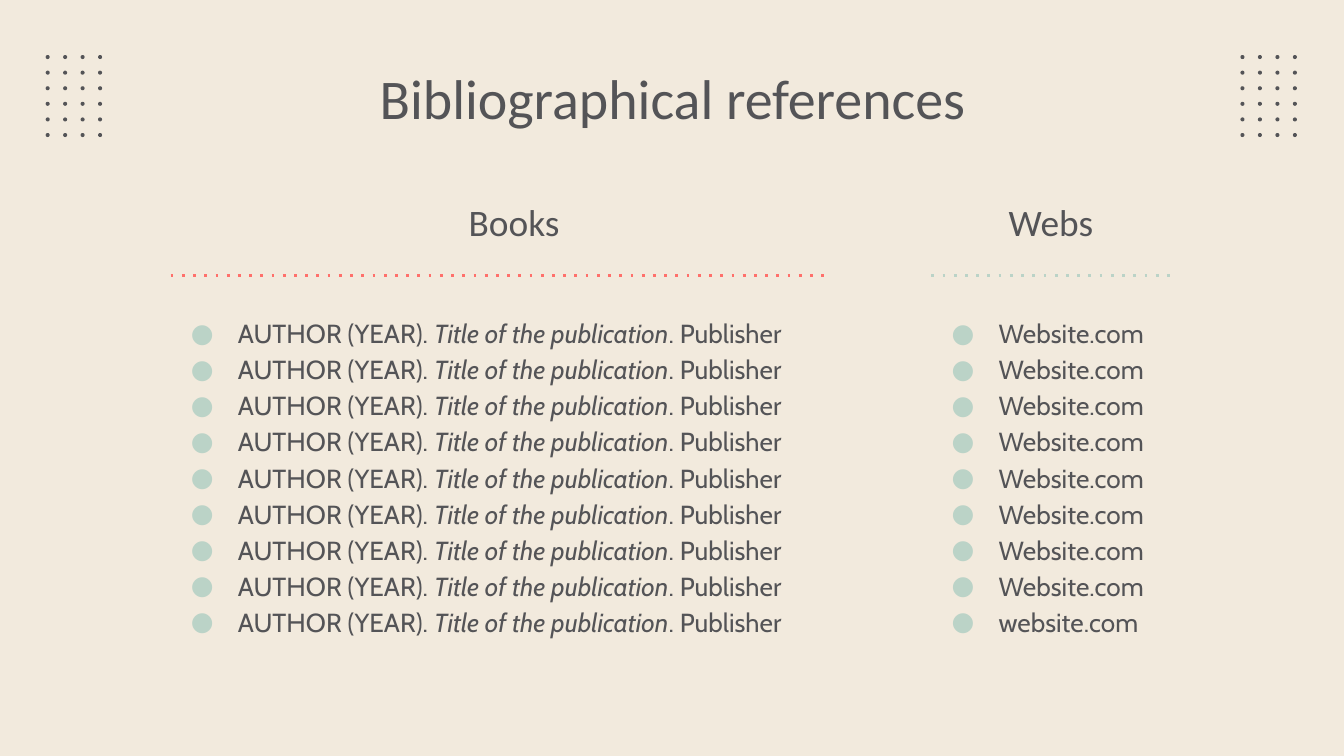
from itertools import product

from lxml import etree
from pptx import Presentation
from pptx import util as u
from pptx.dml.color import RGBColor
from pptx.enum import shapes, text
from pptx.oxml import ns

INK, CREAM, CORAL, MINT = "545457", "F2EADD", "FF706B", "BBD3C7"
HEADING_FONT, BODY_FONT = "Calibri", "Cabin"
ROWS = 9


def color(hex_string):
    return RGBColor.from_string(hex_string)


def add_xml(parent, tag, **attributes):
    return etree.SubElement(parent, ns.qn(tag), attributes)


def add_run(paragraph, words, size, font, italic=False):
    run = paragraph.add_run()
    run.text = words
    run.font.size = u.Pt(size)
    run.font.name = font
    run.font.italic = italic
    run.font.color.rgb = color(INK)


def set_indent(paragraph, margin, first_line):
    properties = paragraph._p.get_or_add_pPr()
    properties.set("marL", str(u.Inches(margin)))
    properties.set("indent", str(u.Inches(first_line)))
    return properties


def set_bullet(paragraph, bullet_color):
    properties = set_indent(paragraph, 0.5, -0.35)
    fill = add_xml(properties, "a:buClr")
    add_xml(fill, "a:srgbClr", val=bullet_color)
    add_xml(properties, "a:buFont", typeface=BODY_FONT)
    add_xml(properties, "a:buChar", char="●")


class SlideBuilder:
    def __init__(self, slide):
        self.slide = slide
        background = slide.background.fill
        background.solid()
        background.fore_color.rgb = color(CREAM)

    def text_frame(self, left, top, width, height, insets=(0, 0, 0, 0)):
        box = self.slide.shapes.add_textbox(
            *map(u.Inches, (left, top, width, height)))
        frame = box.text_frame
        frame.word_wrap = True
        frame.vertical_anchor = text.MSO_ANCHOR.TOP
        (frame.margin_left, frame.margin_top,
         frame.margin_right, frame.margin_bottom) = map(u.Inches, insets)
        return frame

    def heading(self, words, *place, size=20, indent=(0.4, -0.2), **layout):
        paragraph = self.text_frame(*place, **layout).paragraphs[0]
        paragraph.alignment = text.PP_ALIGN.CENTER
        set_indent(paragraph, *indent)
        add_run(paragraph, words, size, HEADING_FONT)

    def bullet_list(self, entries, *place):
        """Each entry is a list of (words, italic) pairs."""
        frame = self.text_frame(*place)
        for index, entry in enumerate(entries):
            paragraph = frame.add_paragraph() if index else frame.paragraphs[0]
            paragraph.line_spacing = 1.15
            set_bullet(paragraph, MINT)
            for words, italic in entry:
                add_run(paragraph, words, 14, BODY_FONT, italic)

    def dotted_rule(self, left, right, top, line_color):
        rule = self.slide.shapes.add_connector(
            shapes.MSO_CONNECTOR.STRAIGHT,
            *map(u.Inches, (left, top, right, top)))
        rule.line.color.rgb = color(line_color)
        rule.line.width = u.Pt(1.5)
        add_xml(rule.line._get_or_add_ln(), "a:prstDash", val="dot")
        add_xml(rule._element.spPr, "a:effectLst")

    def dot_grid(self, left, top, columns=4, rows=6):
        group = self.slide.shapes.add_group_shape()
        size = u.Inches(0.03)
        row_gap = 0.58 / (rows - 1)
        for row, column in product(range(rows), range(columns)):
            dot = group.shapes.add_shape(
                shapes.MSO_SHAPE.OVAL, u.Inches(left + column * 0.13),
                u.Inches(top + row * row_gap), size, size)
            dot.shadow.inherit = False
            dot.fill.solid()
            dot.fill.fore_color.rgb = color(INK)
            dot.line.fill.background()


def main():
    presentation = Presentation()
    presentation.slide_width = u.Inches(10)
    presentation.slide_height = u.Inches(10 * 9 / 16)
    builder = SlideBuilder(
        presentation.slides.add_slide(presentation.slide_layouts[6]))

    for left in (0.34, 9.23):
        builder.dot_grid(left, 0.41)
    builder.heading("Bibliographical references", 0.79, 0.4, 8.43, 0.63,
                    size=30, indent=(0, 0), insets=(0.1, 0.07, 0.1, 0.1))

    book = [("AUTHOR (YEAR). ", False), ("Title of the publication", True),
            (". Publisher", False)]
    websites = ["Website.com"] * (ROWS - 1) + ["website.com"]

    builder.heading("Books", 1.3, 1.48, 4.85, 0.4)
    builder.dotted_rule(1.27, 6.17, 2.05, CORAL)
    builder.bullet_list([book] * ROWS, 1.27, 2.33, 4.9, 2.5)

    builder.heading("Webs", 6.93, 1.48, 1.78, 0.4, insets=(0, 0, 0.2, 0))
    builder.dotted_rule(6.93, 8.73, 2.05, MINT)
    builder.bullet_list([[(site, False)] for site in websites],
                        6.93, 2.33, 1.82, 2.5)

    presentation.save("out.pptx")


if __name__ == "__main__":
    main()
